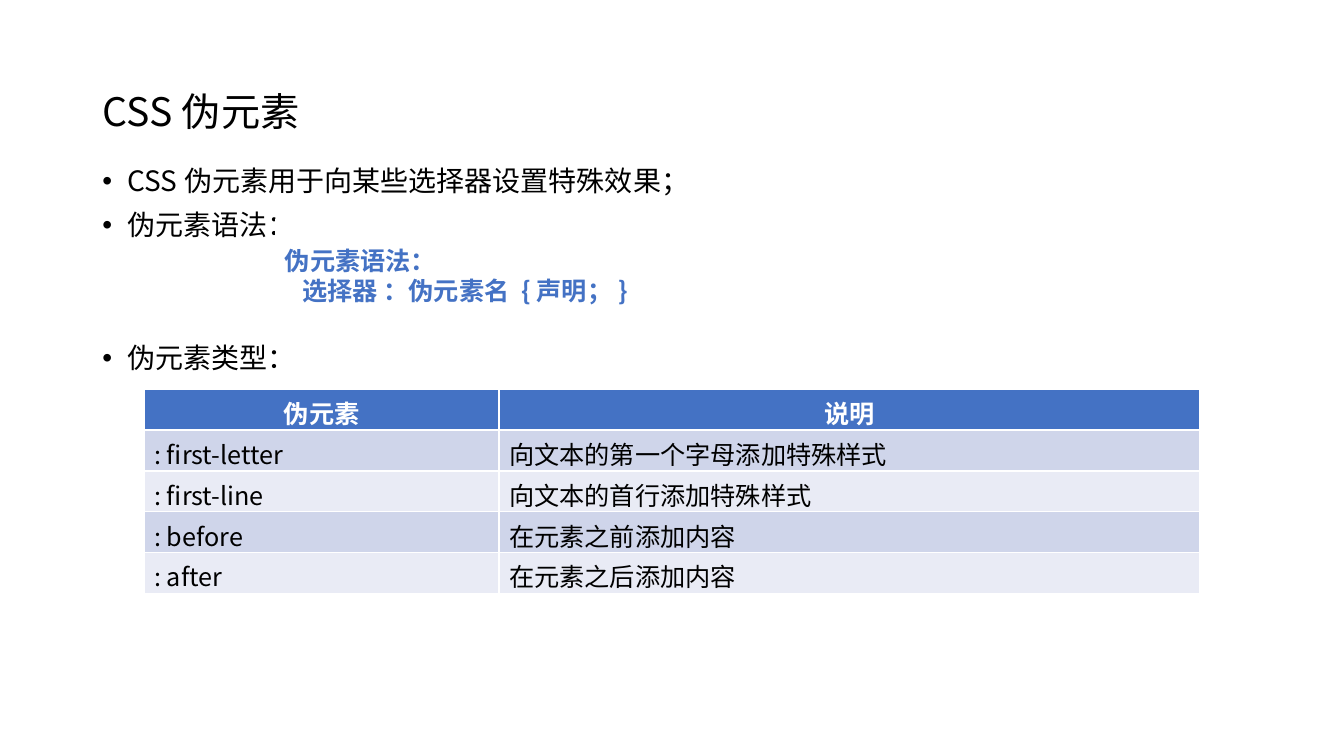
from lxml.etree import SubElement
from pptx import Presentation
from pptx.dml.color import RGBColor
from pptx.enum.shapes import MSO_SHAPE
from pptx.enum.text import MSO_ANCHOR, PP_ALIGN
from pptx.oxml.ns import qn
from pptx.util import Pt

FONT = "Noto Sans CJK SC"
BLUE = "4472C4"
BANDS = ["CFD5EA", "E9EBF5"]
PSEUDO_ELEMENTS = [
    ("伪元素", "说明"),
    (": first-letter", "向文本的第一个字母添加特殊样式"),
    (": first-line", "向文本的首行添加特殊样式"),
    (": before", "在元素之前添加内容"),
    (": after", "在元素之后添加内容"),
]


def color(value):
    return RGBColor.from_string(value)


def write(para, text, size=18, fill="000000", bold=False, align=PP_ALIGN.LEFT,
          spacing=1.0, before=0, bullet=False):
    para.alignment = align
    para.line_spacing = spacing
    para.space_before = Pt(before)
    if bullet:
        properties = para._p.get_or_add_pPr()
        properties.set("marL", str(Pt(18)))
        properties.set("indent", str(Pt(-18)))
        SubElement(properties, qn("a:buFont"), typeface="Arial")
        SubElement(properties, qn("a:buChar"), char="•")
    span = para.add_run()
    span.text = text
    span.font.size = Pt(size)
    span.font.bold = bold
    span.font.name = FONT
    span.font.color.rgb = color(fill)
    SubElement(span._r.get_or_add_rPr(), qn("a:ea"), typeface=FONT)


def add_title(page, left, top, width, height):
    title = page.shapes.title
    title.left, title.top, title.width, title.height = map(Pt, (left, top, width, height))
    title.text_frame.vertical_anchor = MSO_ANCHOR.MIDDLE
    write(title.text_frame.paragraphs[0], "CSS伪元素", size=28, spacing=0.9)


def add_bullets(page, left, top, width, height):
    box = page.shapes.add_textbox(Pt(left), Pt(top), Pt(width), Pt(height))
    frame = box.text_frame
    frame.word_wrap = True
    bullets = [("CSS伪元素用于向某些选择器设置特殊效果；", 0),
               ("伪元素语法：", 10), ("伪元素类型：", 73.5)]
    for index, (text, before) in enumerate(bullets):
        para = frame.add_paragraph() if index else frame.paragraphs[0]
        write(para, text, size=20, spacing=0.9, before=before, bullet=True)


def add_syntax(page, left, top, width, height):
    box = page.shapes.add_shape(MSO_SHAPE.RECTANGLE, Pt(left), Pt(top), Pt(width), Pt(height))
    box.shadow.inherit = False
    box.fill.solid()
    box.fill.fore_color.rgb = color("FFFFFF")
    box.line.fill.background()
    frame = box.text_frame
    frame.word_wrap = True
    frame.vertical_anchor = MSO_ANCHOR.MIDDLE
    write(frame.paragraphs[0], "伪元素语法：", fill=BLUE, bold=True)
    write(frame.add_paragraph(), "   选择器 ：伪元素名 {声明；}", fill=BLUE, bold=True)


def add_types(page, left, top, width, height):
    rows = len(PSEUDO_ELEMENTS)
    table = page.shapes.add_table(rows, 2, Pt(left), Pt(top), Pt(width), Pt(height)).table
    name_width = 253.5
    table.columns[0].width = Pt(name_width)
    table.columns[1].width = Pt(width - name_width)
    for row, texts in enumerate(PSEUDO_ELEMENTS):
        header = row == 0
        for column, text in enumerate(texts):
            cell = table.cell(row, column)
            cell.fill.solid()
            cell.fill.fore_color.rgb = color(BLUE if header else BANDS[(row - 1) % 2])
            write(cell.text_frame.paragraphs[0], text, bold=header,
                  fill="FFFFFF" if header else "000000",
                  align=PP_ALIGN.CENTER if header else PP_ALIGN.LEFT)


def main():
    deck = Presentation()
    deck.slide_width, deck.slide_height = Pt(960), Pt(540)
    page = deck.slides.add_slide(deck.slide_layouts[5])
    add_title(page, 66, 29, 828, 104)
    add_bullets(page, 66, 116, 842, 395)
    add_syntax(page, 196.5, 156, 340.5, 81)
    add_types(page, 103, 278, 754, 146)
    deck.save("out.pptx")


if __name__ == "__main__":
    main()
